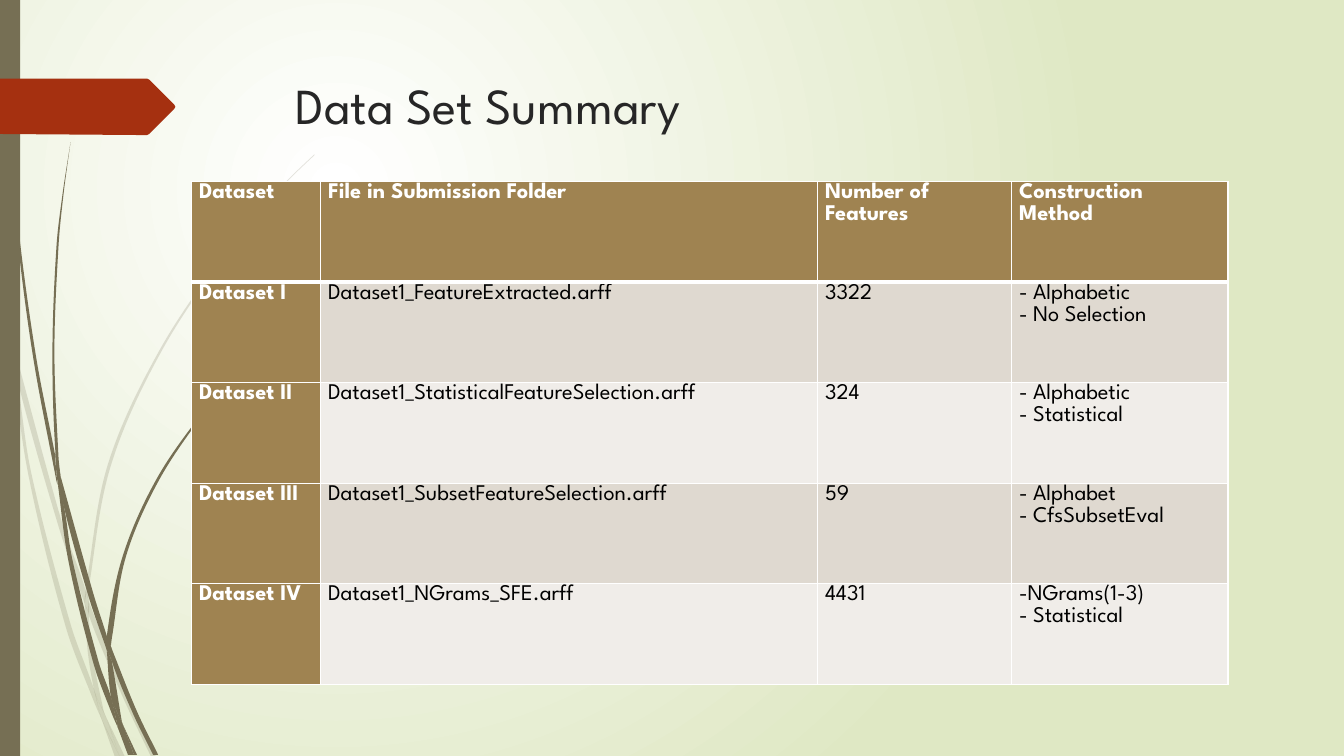
from dataclasses import dataclass
from math import hypot
from typing import Any

from lxml import etree
from pptx import Presentation
from pptx.dml.color import RGBColor
from pptx.enum import shapes, text
from pptx.oxml import ns
from pptx.util import Pt

COLORS = {
    "white": "FFFFFF", "black": "000000", "title": "262626", "sage": "DFE8C4",
    "olive": "766F54", "rust": "A53010", "header": "9F8351",
    "band_dark": "DFD9D0", "band_light": "F0EDE9",
}
FONT = "League Spartan"
GRID = Pt(0.72)  # unit of the outline knots
Point = tuple[float, float]


@dataclass
class Outline:
    """A closed outline through knots given as "x,y" in grid units."""
    knots: str
    color: str = "olive"
    opacity: int = 100
    smooth: bool = True


PALE_BLADES = [
    "11,350 9,322 0,282 0,299 10,344",
    "58,522 84,599 85,586 62,520 14,345 17,376",
    "92,607 88,596 88,610 123,694 150,751 155,751 127,692",
    "119,751 124,751 105,711",
    "93,683 70,619 31,469 17,376 11,350 28,470 65,621 92,693 101,714 99,707",
    "84,599 87,646 93,683 96,692 105,711 103,706 91,646 88,610 88,608",
    "88,584 110,462 160,349 229,245 268,198 290,175 312,154 312,153 289,175 268,197"
    " 228,244 158,348 107,461 85,584 85,586 88,596",
    "101,714 114,751 119,751",
    "88,608 88,610 88,596 85,586 84,599",
    "96,692 93,683 99,707 101,714 119,751 105,711",
]
DARK_BLADES = [
    "7,110 17,233 33,355 56,477 57,481 55,457 55,453 36,355 19,232 8,109 5,48 4,0"
    " 3,0 4,48",
    "88,592 106,645 106,633 106,631 93,590 60,472 64,505",
    "113,649 110,641 111,656 132,708 152,749 157,749 136,706",
    "110,691 98,657 72,556 64,505 57,477 68,557 93,659 111,708 117,722 116,717",
    "60,472 58,453 54,349 58,245 63,193 70,141 62,193 56,245 52,349 55,449",
    "133,749 136,749 122,719",
    "57,477 64,505 60,472 55,449 55,453",
    "111,633 125,552 158,476 205,406 231,374 245,359 261,344 260,344 245,358 231,373"
    " 204,405 156,474 122,551 106,631 110,641",
    "117,722 127,749 131,749",
    "106,645 110,691 116,706 122,719 121,716 111,656 109,651",
    "106,645 109,651 111,656 110,641 106,631 106,633",
    "116,706 110,691 116,717 117,722 130,749 133,749 122,719",
]
TAG = Outline("173,108 148,133 146,134 136,134 0,133 0,78 136,78 146,78 148,79 173,104 174,106",
              "rust", smooth=False)
COLUMNS = [92.2, 355, 138.6, 154.6]
ROW_HEIGHT = 71.86
ROWS = [
    ["Dataset", "File in Submission Folder", "Number of Features", "Construction Method"],
    ["Dataset I", "Dataset1_FeatureExtracted.arff", "3322", "- Alphabetic\n- No Selection"],
    ["Dataset II", "Dataset1_StatisticalFeatureSelection.arff", "324",
     "- Alphabetic\n- Statistical"],
    ["Dataset III", "Dataset1_SubsetFeatureSelection.arff", "59",
     "- Alphabet\n- CfsSubsetEval"],
    ["Dataset IV", "Dataset1_NGrams_SFE.arff", "4431", "-NGrams(1-3)\n- Statistical"],
]


def rgb(name: str) -> RGBColor:
    """Look up a named colour."""
    return RGBColor.from_string(COLORS[name])


def paint(sp: Any, color: str, opacity: int = 100) -> None:
    """Give a shape a plain fill with no line or shadow."""
    sp.shadow.inherit = False
    sp.line.fill.background()
    sp.fill.solid()
    sp.fill.fore_color.rgb = rgb(color)
    if opacity < 100:
        clr = sp._element.spPr.find(".//" + ns.qn("a:srgbClr"))
        etree.SubElement(clr, ns.qn("a:alpha"), val=str(opacity * 1000))


def write(tf: Any, words: str, *, size: float, color: str, bold: bool = False,
          spacing: float | None = None) -> None:
    """Fill a text frame, one paragraph for each line of words."""
    tf.word_wrap = True
    for i, line in enumerate(words.split("\n")):
        p = tf.add_paragraph() if i else tf.paragraphs[0]
        p.line_spacing = spacing
        r = p.add_run()
        r.text = line
        r.font.name, r.font.size, r.font.bold = FONT, Pt(size), bold
        r.font.color.rgb = rgb(color)


def handle(before: Point, knot: Point, after: Point) -> Point:
    """Place the control point from knot towards after; sharp corners stay sharp."""
    (ax, ay), (bx, by) = [(q[0] - p[0], q[1] - p[1])
                          for p, q in ((before, knot), (knot, after))]
    reach = hypot(bx, by) / 3
    gentle = ax * bx + ay * by > 0.8 * hypot(ax, ay) * hypot(bx, by)
    dx, dy = (ax + bx, ay + by) if gentle else (bx, by)
    scale = reach / hypot(dx, dy)
    return knot[0] + dx * scale, knot[1] + dy * scale


def round_edges(sp: Any) -> None:
    """Turn the straight edges of a closed freeform into smooth curves."""
    path = sp._element.spPr.find(".//" + ns.qn("a:path"))
    knots = [(int(pt.get("x")), int(pt.get("y"))) for pt in path.iter(ns.qn("a:pt"))][:-1]
    n = len(knots)
    for i, edge in enumerate(path.findall(ns.qn("a:lnTo"))):
        a, b, c, d = (knots[(i + k) % n] for k in (-1, 0, 1, 2))
        curve = etree.Element(ns.qn("a:cubicBezTo"))
        for x, y in (handle(a, b, c), handle(d, c, b), c):
            etree.SubElement(curve, ns.qn("a:pt"), x=str(round(x)), y=str(round(y)))
        path.replace(edge, curve)


def add_outline(s: Any, outline: Outline) -> None:
    """Draw a filled freeform."""
    knots = [tuple(int(v) * GRID for v in knot.split(",")) for knot in outline.knots.split()]
    fb = s.shapes.build_freeform(*knots[0])
    fb.add_line_segments(knots[1:] + knots[:1], close=True)
    sp = fb.convert_to_shape()
    if outline.smooth:
        round_edges(sp)
    paint(sp, outline.color, outline.opacity)


def set_background(s: Any) -> None:
    """Spread a circular gradient from white to sage."""
    fill = s.background.fill
    fill.gradient()
    for stop, color in zip(fill.gradient_stops, ("white", "sage")):
        stop.color.rgb = rgb(color)
    grad = s._element.find(".//" + ns.qn("a:gradFill"))
    grad.remove(grad.find(ns.qn("a:lin")))
    circle = etree.SubElement(grad, ns.qn("a:path"), {"path": "circle"})
    etree.SubElement(circle, ns.qn("a:fillToRect"),
                     l="50000", t="50000", r="100000", b="100000")


def add_borders(cell: Any, top: float, bottom: float) -> None:
    """Line a cell in white; call this before filling the cell."""
    for side, width in zip("LRTB", (1, 1, top, bottom)):
        ln = etree.SubElement(cell._tc.get_or_add_tcPr(), ns.qn(f"a:ln{side}"),
                              w=str(Pt(width)))
        fill = etree.SubElement(ln, ns.qn("a:solidFill"))
        etree.SubElement(fill, ns.qn("a:srgbClr"), val=COLORS["white"])


def add_summary(s: Any) -> None:
    """Draw the table of data sets."""
    table = s.shapes.add_table(len(ROWS), len(COLUMNS), Pt(136.8), Pt(129.6),
                               Pt(sum(COLUMNS)), Pt(ROW_HEIGHT * len(ROWS))).table
    table.first_row = table.horz_banding = False
    for column, width in zip(table.columns, COLUMNS):
        column.width = Pt(width)
    for i, row in enumerate(ROWS):
        table.rows[i].height = Pt(ROW_HEIGHT)
        for j, words in enumerate(row):
            cell = table.cell(i, j)
            heading = i == 0 or j == 0
            band = "band_dark" if i % 2 else "band_light"
            add_borders(cell, top=3 if i == 1 else 1, bottom=3 if i == 0 else 1)
            cell.fill.solid()
            cell.fill.fore_color.rgb = rgb("header" if heading else band)
            cell.margin_left = cell.margin_right = Pt(5.4)
            cell.margin_top = cell.margin_bottom = Pt(0)
            write(cell.text_frame, words, size=16, bold=heading, spacing=1.07,
                  color="white" if heading else "black")


def main() -> None:
    """Build and save the slide."""
    prs = Presentation()
    prs.slide_width, prs.slide_height = Pt(960), Pt(540)
    s = prs.slides.add_slide(prs.slide_layouts[6])
    set_background(s)
    for blades, opacity in ((PALE_BLADES, 20), (DARK_BLADES, 100)):
        for knots in blades:
            add_outline(s, Outline(knots, opacity=opacity))
    bar = s.shapes.add_shape(shapes.MSO_SHAPE.RECTANGLE, 0, 0, Pt(14.4), Pt(540))
    paint(bar, "olive")
    add_outline(s, TAG)
    tf = s.shapes.add_textbox(Pt(204.17), Pt(49.14), Pt(701.7), Pt(100.86)).text_frame
    tf.vertical_anchor = text.MSO_ANCHOR.TOP
    write(tf, "Data Set Summary", size=36, color="title")
    add_summary(s)
    prs.save("out.pptx")


main()
